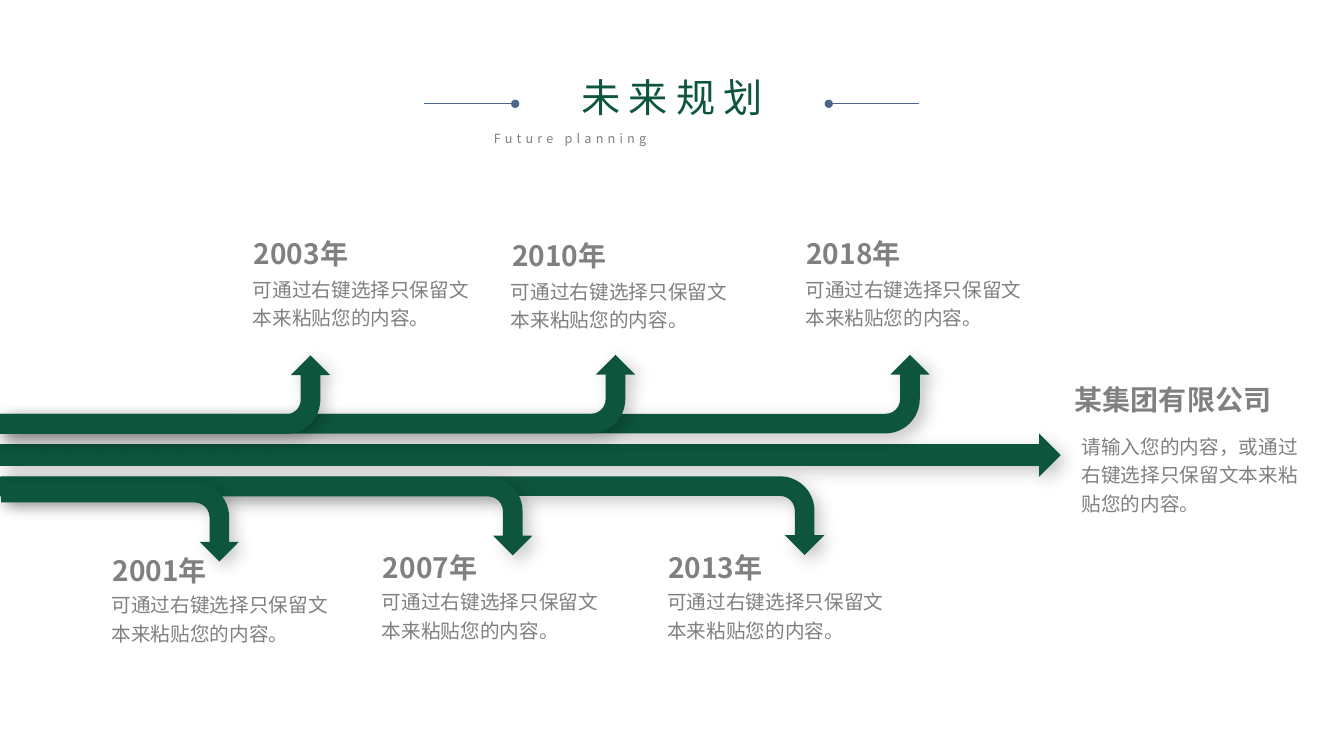
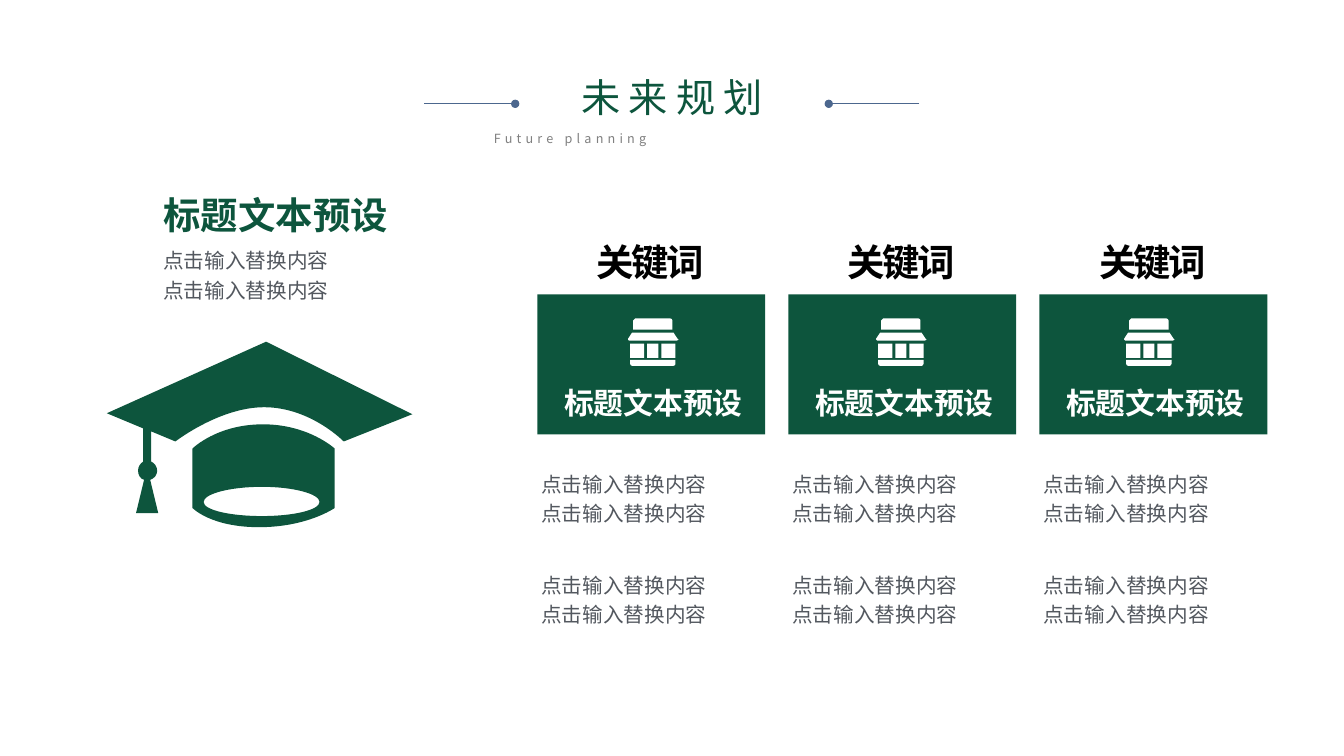
import pptx
import pptx.util
import pptx.dml.color
import pptx.enum.shapes
import pptx.enum.text
import pptx.oxml.ns
from lxml import etree

Inches = pptx.util.Inches
Pt = pptx.util.Pt
qn = pptx.oxml.ns.qn
PRESET = pptx.enum.shapes.MSO_SHAPE
ALIGN = pptx.enum.text.PP_ALIGN
ANCHOR = pptx.enum.text.MSO_ANCHOR
AUTO_SIZE = pptx.enum.text.MSO_AUTO_SIZE

FONT = "Noto Sans CJK SC"
GREEN, GREY, SLATE = "0D553D", "808080", "53585F"
BLUE, WHITE, BLACK = "4C678E", "FFFFFF", "000000"
BODY_LEADING = 1.2


def color(hex_code):
    return pptx.dml.color.RGBColor.from_string(hex_code)


def add_text(slide, box, lines, size, hex_code, bold=False, align=ALIGN.LEFT,
             anchor=ANCHOR.TOP, leading=1.0, spacing=0, margins=(0.1, 0.05),
             grow=True, title=False):
    """Write lines in a text box, or in the title placeholder."""
    left, top, width, height = (Inches(value) for value in box)
    if title:
        shape = slide.shapes.title
        shape.left, shape.top, shape.width, shape.height = left, top, width, height
    else:
        shape = slide.shapes.add_textbox(left, top, width, height)
    frame = shape.text_frame
    frame.word_wrap = True
    frame.auto_size = AUTO_SIZE.SHAPE_TO_FIT_TEXT if grow else AUTO_SIZE.NONE
    frame.vertical_anchor = anchor
    frame.margin_left = frame.margin_right = Inches(margins[0])
    frame.margin_top = frame.margin_bottom = Inches(margins[1])
    for index, line in enumerate(lines):
        paragraph = frame.add_paragraph() if index else frame.paragraphs[0]
        paragraph.alignment = align
        paragraph.line_spacing = leading
        run = paragraph.add_run()
        run.text = line
        run.font.size = Pt(size)
        run.font.bold = bold
        run.font.color.rgb = color(hex_code)
        run.font.name = FONT
        properties = run.font._element
        properties.set("spc", str(spacing * 100))
        etree.SubElement(properties, qn("a:ea"), typeface=FONT)


presentation = pptx.Presentation()
presentation.slide_width = Inches(13.33)
presentation.slide_height = Inches(7.5)
title_only = presentation.slide_layouts[5]
timeline_slide = presentation.slides.add_slide(title_only)
keyword_slide = presentation.slides.add_slide(title_only)

# Shared header: title, subtitle and two lines ending in dots
for slide in (timeline_slide, keyword_slide):
    add_text(slide, (5.16, 0.68, 3.01, 0.57), ["未来规划"], 28, GREEN,
             align=ALIGN.CENTER, spacing=6, title=True)
    add_text(slide, (4.8, 1.25, 3.74, 0.25), ["Future planning"], 9, GREY,
             align=ALIGN.JUSTIFY, spacing=3)
    for outer, inner in ((4.21, 5.11), (9.12, 8.22)):
        connector = slide.shapes.add_connector(
            pptx.enum.shapes.MSO_CONNECTOR.STRAIGHT,
            Inches(outer), Inches(1.03), Inches(inner), Inches(1.03))
        connector.line.color.rgb = color(BLUE)
        connector.line.width = Pt(0.5)
        etree.SubElement(connector.line._get_or_add_ln(), qn("a:tailEnd"), type="oval")
        etree.SubElement(connector._element.spPr, qn("a:effectLst"))

# Timeline arrows: a straight one, then bent ones turned to run from the left edge
BEND = 0.78
arrows = [(PRESET.RIGHT_ARROW, 0, 4.3, 10.52, 0.43, 0, False)]
for left, top, length, upward in ((4.22, -0.7, 9.22, True), (3.7, 1.03, 8.17, False),
                                  (2.76, 0.76, 6.3, True), (1.24, 2.27, 3.29, True),
                                  (2.25, 2.48, 5.28, False), (0.8, 4, 2.36, False)):
    arrows.append((PRESET.BENT_ARROW, left, top, BEND, length, 90, upward))
for preset, left, top, width, height, rotation, mirrored in arrows:
    arrow = timeline_slide.shapes.add_shape(
        preset, Inches(left), Inches(top), Inches(width), Inches(height))
    arrow.rotation = rotation
    if mirrored:
        arrow._element.spPr.find(qn("a:xfrm")).set("flipH", "1")
    arrow.fill.solid()
    arrow.fill.fore_color.rgb = color(GREEN)
    arrow.line.fill.background()
    arrow.shadow.inherit = False
    effects = arrow._element.spPr.find(qn("a:effectLst"))
    shadow = etree.SubElement(effects, qn("a:outerShdw"), blurRad=str(Pt(12)),
                              dist=str(Pt(5)), dir=str(45 * 60000), algn="tl", rotWithShape="0")
    shadow_color = etree.SubElement(shadow, qn("a:srgbClr"), val=BLACK)
    etree.SubElement(shadow_color, qn("a:alpha"), val="21000")

# Timeline goal
add_text(timeline_slide, (10.21, 3.75, 2.85, 0.44), ["某集团有限公司"], 20, GREY,
         bold=True, align=ALIGN.CENTER)
add_text(timeline_slide, (10.63, 4.22, 2.43, 1.23),
         ["请输入您的内容，或通过右键选择只保留文本来粘贴您的内容。"],
         14, GREY, leading=BODY_LEADING)

# Timeline milestones: year, left, top of the year, top of the text
for year, left, year_top, text_top in (
        ("2001年", 1.02, 5.44, 5.79), ("2003年", 2.42, 2.3, 2.66), ("2007年", 3.7, 5.41, 5.76),
        ("2010年", 4.98, 2.32, 2.68), ("2013年", 6.53, 5.41, 5.76), ("2018年", 7.9, 2.3, 2.66)):
    add_text(timeline_slide, (left, year_top, 1.42, 0.44), [year], 20, GREY, bold=True)
    add_text(timeline_slide, (left - 0.01, text_top, 2.43, 0.95),
             ["可通过右键选择只保留文本来粘贴您的内容。"], 14, GREY, leading=BODY_LEADING)

# Keyword introduction
caption = ["点击输入替换内容"] * 2
add_text(keyword_slide, (1.62, 2.41, 2.86, 0.87), caption, 14.7, SLATE,
         leading=BODY_LEADING, margins=(0, 0), grow=False)
add_text(keyword_slide, (1.62, 1.91, 2.86, 0.34), ["标题文本预设"], 26.7, GREEN,
         bold=True, margins=(0, 0), grow=False)

# Keyword cards
for column in range(3):
    left = 5.33 + 2.49 * column
    card = keyword_slide.shapes.add_shape(
        PRESET.RECTANGLE, Inches(left), Inches(2.92), Inches(2.26), Inches(1.39))
    card.fill.solid()
    card.fill.fore_color.rgb = color(GREEN)
    card.line.fill.background()
    card.shadow.inherit = False
    add_text(keyword_slide, (left, 2.37, 2.24, 0.45), ["关键词"], 26.7, BLACK, bold=True,
             align=ALIGN.CENTER, anchor=ANCHOR.MIDDLE, spacing=-2, margins=(0.13, 0.07),
             grow=False)
    add_text(keyword_slide, (left + 0.06, 3.79, 2.18, 0.4), ["标题文本预设"], 21.3, WHITE,
             bold=True, align=ALIGN.CENTER, anchor=ANCHOR.MIDDLE, grow=False)
    for top in (4.58, 5.58):
        add_text(keyword_slide, (left - 0.06, top, 2.36, 0.69), caption, 14.7, SLATE,
                 anchor=ANCHOR.MIDDLE, leading=BODY_LEADING)

# Outlines: two numbers are a corner, six are a curve (two controls and an end)
shop = [
    [(6.25, 3.57), (6.7, 3.57), (6.7, 3.61), (6.7, 3.62, 6.69, 3.63, 6.68, 3.63),
     (6.27, 3.63), (6.26, 3.63, 6.25, 3.62, 6.25, 3.61)],
    [(6.27, 3.3), (6.68, 3.3), (6.72, 3.36), (6.72, 3.36, 6.73, 3.36, 6.73, 3.37),
     (6.73, 3.37, 6.72, 3.38, 6.71, 3.38), (6.24, 3.38),
     (6.23, 3.38, 6.23, 3.38, 6.23, 3.37), (6.23, 3.36)],
    [(6.3, 3.16), (6.65, 3.16), (6.66, 3.16, 6.67, 3.17, 6.67, 3.18), (6.67, 3.27),
     (6.28, 3.27), (6.28, 3.18), (6.28, 3.17, 6.29, 3.16, 6.3, 3.16)],
]
for pane_left, pane_right in ((6.25, 6.39), (6.42, 6.53), (6.56, 6.7)):
    shop.append([(pane_left, 3.41), (pane_right, 3.41), (pane_right, 3.55), (pane_left, 3.55)])

graduation_cap = [
    # board and tassel
    [(3.41, 4.38), (3.41, 4.38, 3.08, 4.04, 2.62, 4.04), (2.18, 4.04, 1.74, 4.38, 1.74, 4.38),
     (1.5, 4.28), (1.5, 4.58), (1.53, 4.59, 1.56, 4.63, 1.56, 4.67),
     (1.56, 4.71, 1.53, 4.75, 1.49, 4.76), (1.57, 5.09), (1.35, 5.09), (1.43, 4.76),
     (1.39, 4.75, 1.37, 4.71, 1.37, 4.67), (1.37, 4.63, 1.39, 4.6, 1.42, 4.58),
     (1.42, 4.25), (1.06, 4.1), (2.64, 3.39), (4.09, 4.11)],
    # crown
    [(2.61, 4.21), (3.06, 4.21, 3.32, 4.45, 3.32, 4.45), (3.32, 5.04),
     (3.32, 5.04, 3.05, 5.23, 2.57, 5.23), (2.09, 5.23, 1.91, 5.04, 1.91, 5.04),
     (1.91, 4.45), (1.91, 4.45, 2.15, 4.21, 2.61, 4.21)],
    # opening
    [(2.6, 5.12), (2.91, 5.12, 3.17, 5.06, 3.17, 4.98), (3.17, 4.9, 2.91, 4.83, 2.6, 4.83),
     (2.28, 4.83, 2.02, 4.9, 2.02, 4.98), (2.02, 5.06, 2.28, 5.12, 2.6, 5.12)],
]

# Draw the icons: straight outlines first, then bend the curved segments
icons = [(shop, 2.46 * column, WHITE) for column in range(3)] + [(graduation_cap, 0, GREEN)]
for contours, shift, hex_code in icons:
    builder = None
    for contour in contours:
        vertices = [(Inches(segment[-2] + shift), Inches(segment[-1])) for segment in contour]
        if builder is None:
            builder = keyword_slide.shapes.build_freeform(*vertices[0])
        else:
            builder.move_to(*vertices[0])
        builder.add_line_segments(vertices[1:], close=True)
    icon = builder.convert_to_shape()
    icon.fill.solid()
    icon.fill.fore_color.rgb = color(hex_code)
    icon.line.fill.background()
    icon.shadow.inherit = False
    segments = [segment for contour in contours for segment in contour[1:]]
    for element, segment in zip(list(icon._element.iter(qn("a:lnTo"))), segments):
        if len(segment) == 6:
            curve = etree.Element(qn("a:cubicBezTo"))
            for x, y in zip(segment[::2], segment[1::2]):
                etree.SubElement(curve, qn("a:pt"), x=str(Inches(x + shift) - icon.left),
                                 y=str(Inches(y) - icon.top))
            element.getparent().replace(element, curve)

presentation.save("out.pptx")
